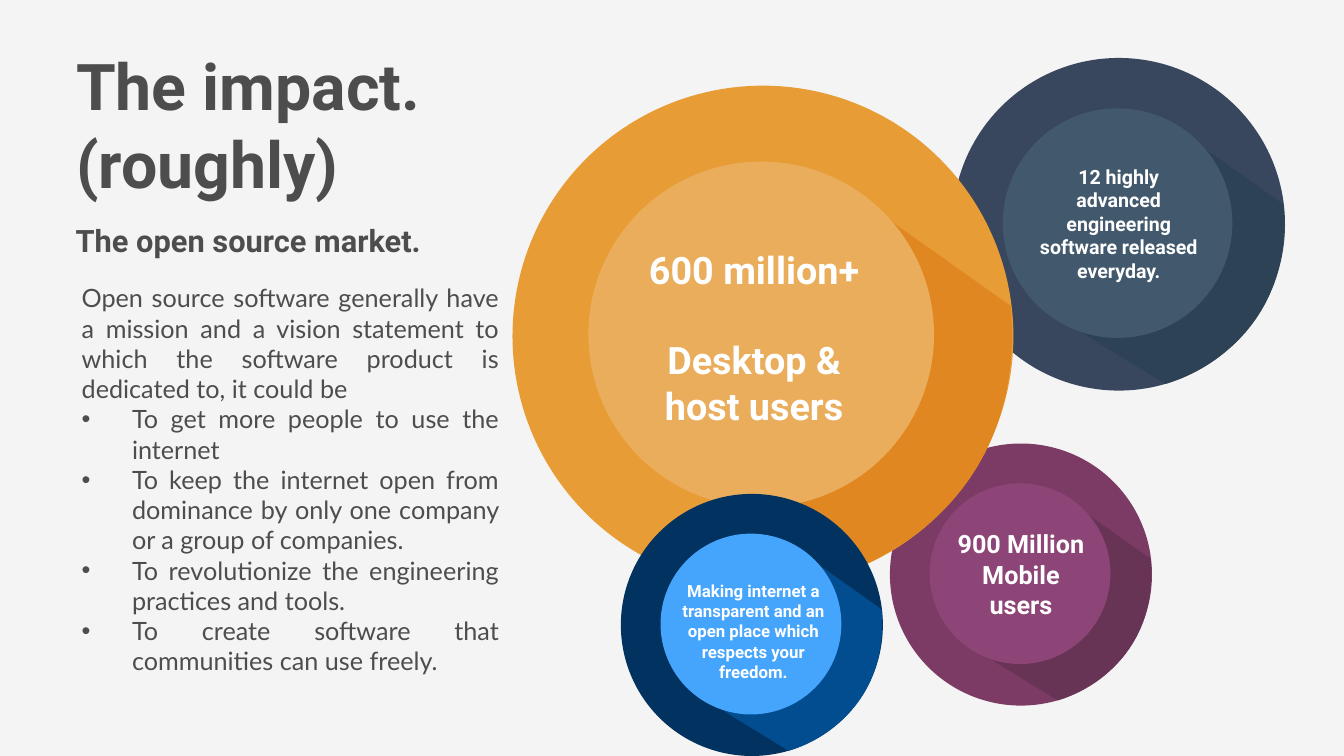
import pptx
import pptx.util
import pptx.dml.color
import pptx.enum.shapes
import pptx.enum.text
import pptx.oxml.ns
from lxml import etree

Inches = pptx.util.Inches
Pt = pptx.util.Pt
RGBColor = pptx.dml.color.RGBColor
Align = pptx.enum.text.PP_ALIGN
Anchor = pptx.enum.text.MSO_ANCHOR

PAPER = RGBColor(0xF4, 0xF4, 0xF4)
INK = RGBColor(0x4D, 0x4D, 0x4D)
WHITE = RGBColor(0xFF, 0xFF, 0xFF)
SLATE = (RGBColor(0x38, 0x47, 0x5D), RGBColor(0x2E, 0x42, 0x56), RGBColor(0x42, 0x59, 0x6D))
PLUM = (RGBColor(0x7C, 0x3B, 0x65), RGBColor(0x68, 0x34, 0x56), RGBColor(0x8D, 0x44, 0x77))
ORANGE = (RGBColor(0xE8, 0x9C, 0x35), RGBColor(0xE0, 0x87, 0x22), RGBColor(0xEA, 0xAD, 0x5C))
BLUE = (RGBColor(0x01, 0x32, 0x60), RGBColor(0x02, 0x4C, 0x90), RGBColor(0x45, 0xA4, 0xFC))

INNER = 0.69   # inner disc radius, as a share of the ring's
STEPS = 32

INTRO = ("Open source software generally have a mission and a vision statement "
         "to which the software product is dedicated to, it could be")
GOALS = [
    "To get more people to use the internet",
    "To keep the internet open from dominance by only one company or a group of companies.",
    "To revolutionize the engineering practices and tools.",
    "To create software that communities can use freely.",
]


def paint(shape, color):
    shape.shadow.inherit = False
    shape.fill.solid()
    shape.fill.fore_color.rgb = color
    shape.line.fill.background()


def add_disc(slide, x, y, r, color):
    disc = slide.shapes.add_shape(
        pptx.enum.shapes.MSO_SHAPE.OVAL,
        Inches(x - r), Inches(y - r), Inches(2 * r), Inches(2 * r))
    paint(disc, color)


def shade_points():
    """Outline of the long shade for a ring of radius 1 at the origin."""
    start, pull, end = (0.28, 0.96), (1.06, 0.76), (0.99, -0.12)
    points = [(-0.21, 0.66)]
    for step in range(STEPS + 1):
        t = step / STEPS
        a, b, c = (1 - t) ** 3 + 3 * t * (1 - t) ** 2, 3 * t * t * (1 - t), t ** 3
        points.append(tuple(a * s + b * p + c * e for s, p, e in zip(start, pull, end)))
    return points + [(0.51, -0.46)]


def add_shade(slide, x, y, r, color):
    points = [(Inches(x + r * u), Inches(y + r * v)) for u, v in shade_points()]
    pen = slide.shapes.build_freeform(*points[0])
    pen.add_line_segments(points[1:], close=True)
    paint(pen.convert_to_shape(), color)


def add_ring(slide, x, y, r, colors):
    rim, shade, core = colors
    add_disc(slide, x, y, r, rim)
    add_shade(slide, x, y, r, shade)
    shift = 0.007 * r
    add_disc(slide, x - shift, y - shift, INNER * r, core)


def add_text(slide, place, lines, size, color, font="Roboto", bold=True,
             align=Align.LEFT, anchor=Anchor.MIDDLE, inset=0.06):
    box = slide.shapes.add_textbox(*map(Inches, place))
    frame = box.text_frame
    frame.word_wrap = True
    frame.vertical_anchor = anchor
    frame.margin_left = frame.margin_right = Inches(inset)
    frame.margin_top = frame.margin_bottom = Inches(inset)
    frame.text = "\n".join(lines)
    for para in frame.paragraphs:
        para.alignment = align
        for run in para.runs:
            run.font.name = font
            run.font.size = Pt(size)
            run.font.bold = bold
            run.font.color.rgb = color
    return frame


def add_bullet(para):
    props = para._p.get_or_add_pPr()
    props.set("marL", str(Inches(1)))
    props.set("indent", str(-Inches(1)))
    qn = pptx.oxml.ns.qn
    etree.SubElement(props, qn("a:buFont")).set("typeface", "Arial")
    etree.SubElement(props, qn("a:buChar")).set("char", "•")


def add_story(slide):
    add_text(slide, (1.51, 0.92, 10.96, 1.65), ["The impact. (roughly)"], 92, INK,
             anchor=Anchor.TOP, inset=0)
    add_text(slide, (1.44, 4.35, 8.28, 0.83), ["The open source market."], 44, INK)
    body = add_text(slide, (1.62, 5.61, 8.28, 8.74), [INTRO] + GOALS, 36, INK,
                    font="Lato", bold=False, align=Align.JUSTIFY,
                    anchor=Anchor.TOP, inset=0)
    for para in body.paragraphs[1:]:
        add_bullet(para)


def add_label(slide, place, lines, size):
    return add_text(slide, place, lines, size, WHITE, align=Align.CENTER)


def main():
    deck = pptx.Presentation()
    deck.slide_width, deck.slide_height = Inches(26.67), Inches(15)
    slide = deck.slides.add_slide(deck.slide_layouts[6])
    slide.background.fill.solid()
    slide.background.fill.fore_color.rgb = PAPER

    add_story(slide)

    add_ring(slide, 22.2, 4.45, 3.3, SLATE)
    add_ring(slide, 20.26, 11.4, 2.6, PLUM)
    add_ring(slide, 15.14, 6.67, 4.97, ORANGE)
    add_ring(slide, 14.92, 12.4, 2.6, BLUE)

    add_label(slide, (20.5, 3.19, 3.4, 2.49),
              ["12 highly advanced engineering software released everyday."], 28)
    users = add_label(slide, (12.7, 4.85, 4.53, 3.69),
                      ["600 million+", "Desktop & host users"], 54)
    users.paragraphs[1].space_before = Pt(64)
    add_label(slide, (18.82, 10.42, 2.88, 1.94), ["900 Million", "Mobile", "users"], 36)
    add_label(slide, (13.25, 11.28, 3.4, 2.49),
              ["Making internet a transparent and an open place which "
               "respects your freedom."], 24)

    deck.save("out.pptx")


if __name__ == "__main__":
    main()
